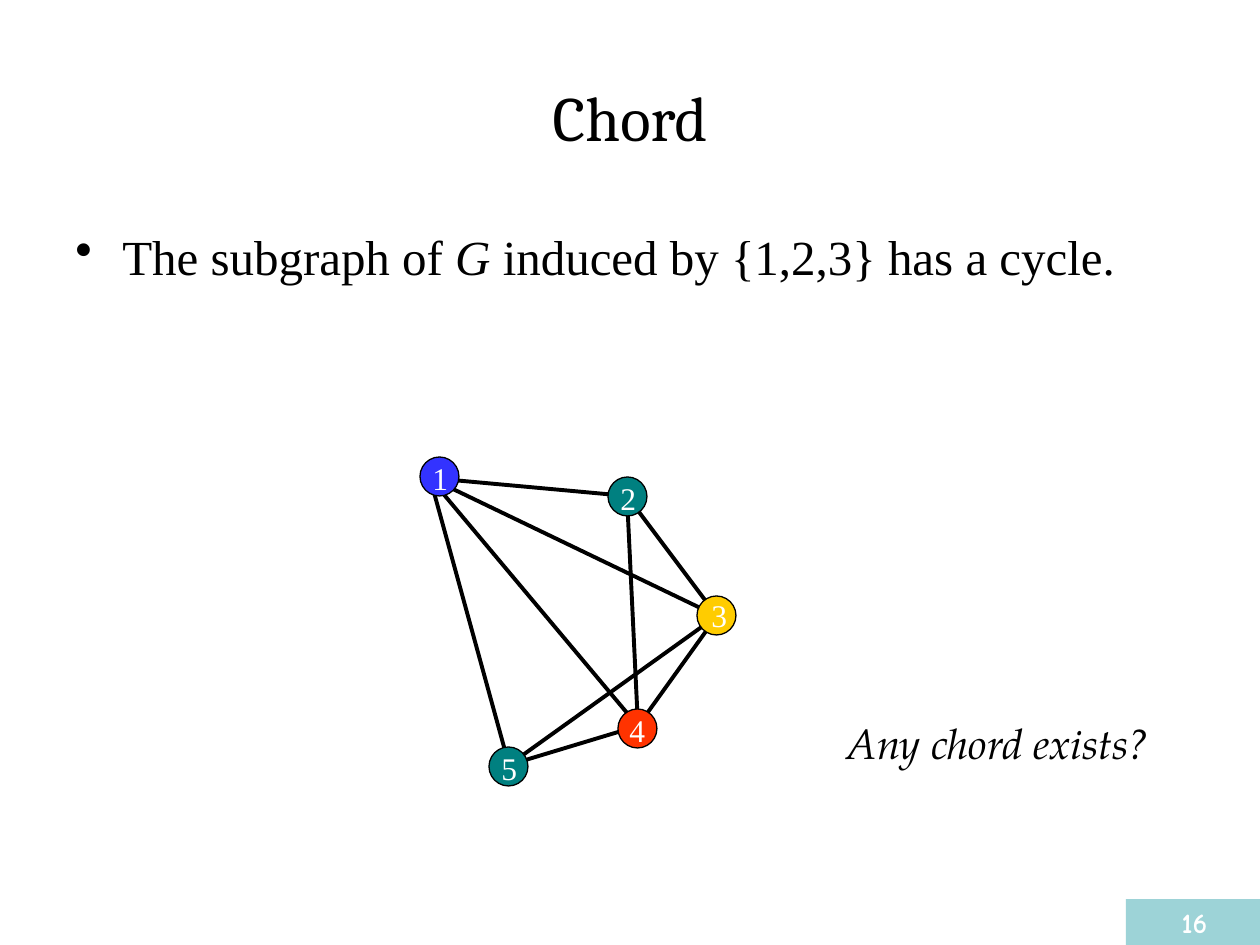
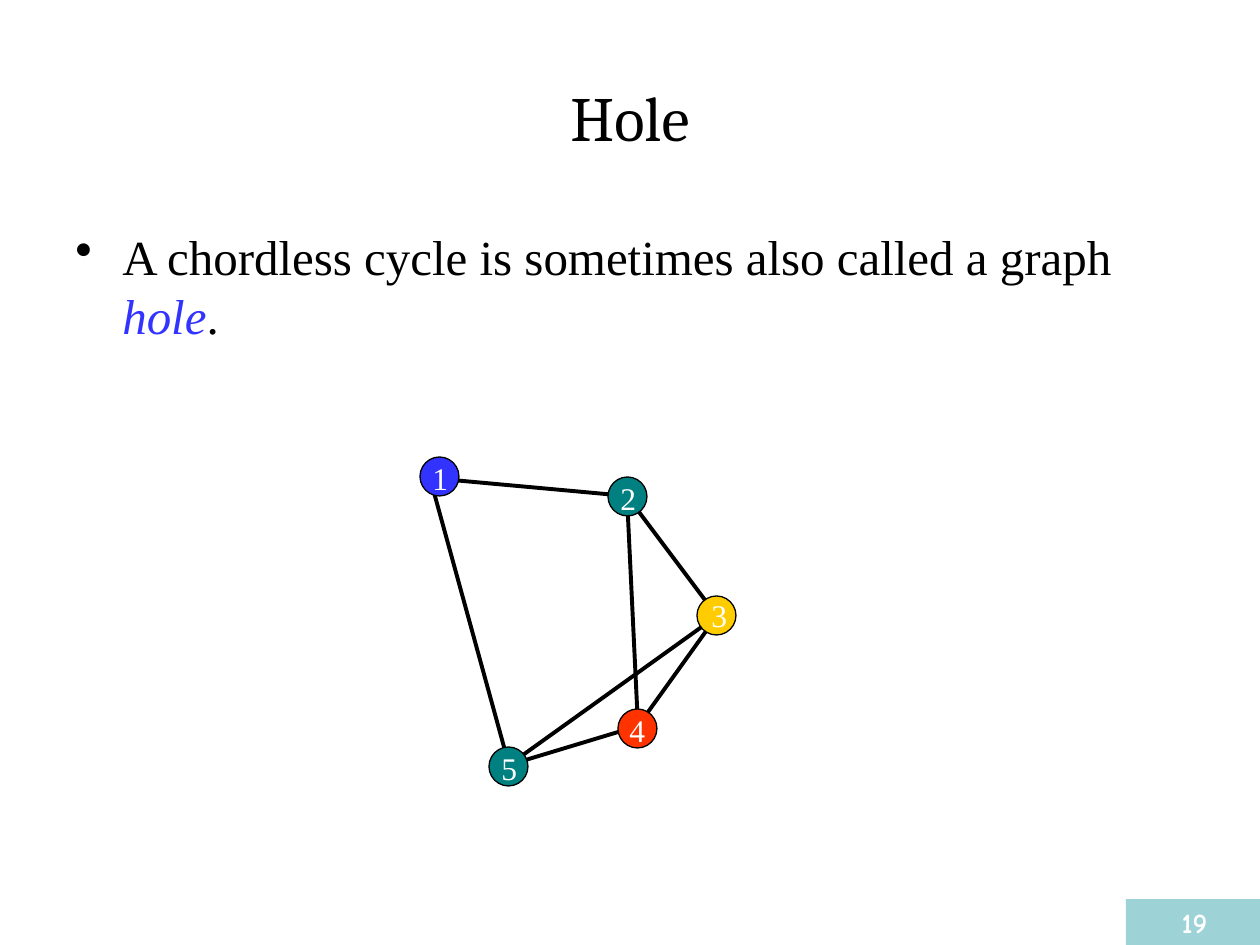
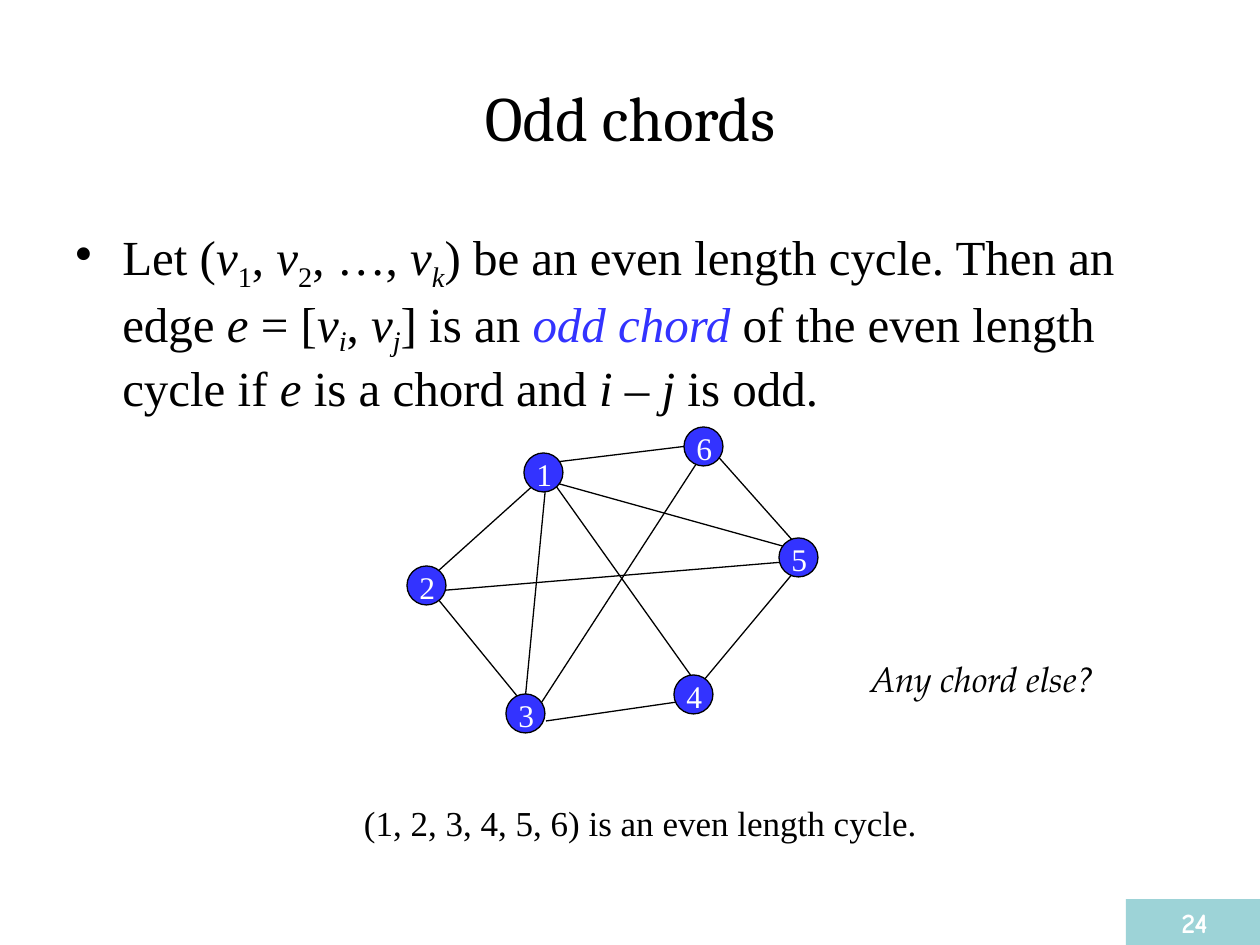
from lxml import etree
from pptx import Presentation
from pptx import util as u
from pptx.dml import color
from pptx.enum import shapes, text
from pptx.oxml import ns

PX_PER_INCH = 126
BLACK, WHITE, BLUE = "000000", "FFFFFF", "3333FF"
TEAL, RED, YELLOW, BAND = "008080", "FF3300", "FFCC00", "9DD3D7"
SERIF, HEADING, SCRIPT, NUMBER = "Times New Roman", "Cambria", "TeX Gyre Pagella", "Comic Neue"
LEFT, CENTER = text.PP_ALIGN.LEFT, text.PP_ALIGN.CENTER
NODE_SIZE = 39


def px(length):
    return u.Emu(round(length * 914400 / PX_PER_INCH))


def rgb(value):
    return color.RGBColor.from_string(value)


class GraphDeck:
    def __init__(self):
        self.deck = Presentation()
        self.deck.slide_width, self.deck.slide_height = px(1260), px(945)
        self.page = None

    def start_page(self, title, body, number):
        self.page = self.deck.slides.add_slide(self.deck.slide_layouts[6])
        heading = self.text((63, 38, 1134, 157), [(title, {})], 36, HEADING, align=CENTER)
        heading.text_frame.vertical_anchor = text.MSO_ANCHOR.MIDDLE
        self.bullet((63, 220, 1134, 624), body)
        band = self.shape(shapes.MSO_SHAPE.RECTANGLE, (1126, 899, 137, 46), BAND)
        band.text_frame.vertical_anchor = text.MSO_ANCHOR.TOP
        self.add_runs(band.text_frame, [(number, {"bold": True})], 16, NUMBER, WHITE, CENTER)

    def add_runs(self, frame, runs, size, font, ink, align):
        frame.word_wrap = True
        para = frame.paragraphs[0]
        para.alignment = align
        for words, style in runs:
            span = para.add_run()
            span.text = words
            span.font.size = u.Pt(size)
            span.font.name = font
            span.font.bold = style.get("bold", False)
            span.font.italic = style.get("italic", False)
            span.font.color.rgb = rgb(style.get("ink", ink))
            if "drop" in style:
                span._r.get_or_add_rPr().set("baseline", str(-1000 * style["drop"]))

    def text(self, area, runs, size, font=SERIF, ink=BLACK, align=LEFT):
        box = self.page.shapes.add_textbox(*map(px, area))
        self.add_runs(box.text_frame, runs, size, font, ink, align)
        return box

    def bullet(self, area, runs):
        box = self.text(area, runs, 28)
        properties = box.text_frame.paragraphs[0]._p.get_or_add_pPr()
        properties.set("marL", str(px(47)))
        properties.set("indent", str(px(-47)))
        etree.SubElement(properties, ns.qn("a:buChar")).set("char", "•")

    def shape(self, kind, area, fill, outline=None):
        shape = self.page.shapes.add_shape(kind, *map(px, area))
        shape.shadow.inherit = False
        shape.fill.solid()
        shape.fill.fore_color.rgb = rgb(fill)
        if outline:
            shape.line.color.rgb = rgb(outline)
            shape.line.width = u.Pt(0.75)
        else:
            shape.line.fill.background()
        return shape

    def edge(self, start, end, width):
        line = self.page.shapes.add_connector(
            shapes.MSO_CONNECTOR.STRAIGHT, *map(px, (*start, *end)))
        line.line.color.rgb = rgb(BLACK)
        line.line.width = u.Pt(width)
        etree.SubElement(line._element.spPr, ns.qn("a:effectLst"))

    def node(self, name, left, top, fill, label_width=NODE_SIZE, shift=(0, -4)):
        self.shape(shapes.MSO_SHAPE.OVAL, (left, top, NODE_SIZE, NODE_SIZE), fill, BLACK)
        area = (left + shift[0], top + shift[1], label_width, 50)
        self.text(area, [(name, {})], 18, ink=WHITE)


PLAIN, ITALIC = {}, {"italic": True}
TERM = {"italic": True, "ink": BLUE}
DIGIT_INDEX = {"drop": 25}
LETTER_INDEX = {"italic": True, "drop": 20}

HUBS = {1: (430, 478), 2: (627, 496), 3: (717, 616), 4: (638, 726), 5: (509, 765)}
FIVE_NODES = [
    ("5", 489, 747, TEAL, 49),
    ("4", 618, 709, RED, 49, (-1, -4)),
    ("2", 608, 477, TEAL, 49),
    ("3", 697, 596, YELLOW, 49, (2, -6)),
    ("1", 420, 457, BLUE),
]
HOLE_EDGES = [(5, 1), (5, 4), (1, 2), (2, 4), (5, 3), (4, 3), (2, 3)]
CHORD_EDGES = HOLE_EDGES + [(1, 3), (1, 4)]

SIX_NODES = [("1", 524, 453), ("2", 407, 566), ("3", 506, 694),
             ("4", 674, 675), ("5", 779, 538), ("6", 684, 427)]
SIX_EDGES = [
    ((704, 452), (536, 711)), ((546, 483), (525, 701)), ((546, 472), (694, 680)),
    ((436, 591), (784, 562)), ((556, 483), (804, 552)), ((536, 483), (427, 581)),
    ((433, 593), (522, 702)), ((546, 721), (684, 701)), ((704, 680), (794, 572)),
    ((714, 452), (794, 542)), ((556, 462), (688, 446)),
]


def draw_five_node_graph(deck, edges):
    for start, end in edges:
        deck.edge(HUBS[start], HUBS[end], 2.25)
    for node in FIVE_NODES:
        deck.node(*node)


def main():
    deck = GraphDeck()

    deck.start_page("Chord", [
        ("The subgraph of ", PLAIN), ("G", ITALIC),
        (" induced by {1,2,3} has a cycle.", PLAIN)], "16")
    draw_five_node_graph(deck, CHORD_EDGES)
    deck.text((819, 711, 358, 113), [("Any chord exists?", ITALIC)], 24, SCRIPT, align=CENTER)

    deck.start_page("Hole", [
        ("A chordless cycle is sometimes also called a graph ", PLAIN),
        ("hole", TERM), (".", PLAIN)], "19")
    draw_five_node_graph(deck, HOLE_EDGES)

    deck.start_page("Odd chords", [
        ("Let (", PLAIN), ("v", ITALIC), ("1", DIGIT_INDEX), (", ", PLAIN),
        ("v", ITALIC), ("2", DIGIT_INDEX), (", …, ", PLAIN),
        ("v", ITALIC), ("k", {"italic": True, "drop": 25}),
        (") be an even length cycle. Then an edge ", PLAIN), ("e", ITALIC),
        (" = [", PLAIN), ("v", ITALIC), ("i", LETTER_INDEX), (", ", PLAIN),
        ("v", ITALIC), ("j", LETTER_INDEX), ("] is an ", PLAIN), ("odd chord", TERM),
        (" of the even length cycle if ", PLAIN), ("e", ITALIC),
        (" is a chord and ", PLAIN), ("i", ITALIC), (" – ", PLAIN), ("j", ITALIC),
        (" is odd.", PLAIN)], "24")
    for start, end in SIX_EDGES:
        deck.edge(start, end, 0.75)
    for name, left, top in SIX_NODES:
        deck.node(name, left, top, BLUE)
    deck.text((333, 795, 615, 55),
              [("(1, 2, 3, 4, 5, 6) is an even length cycle.", PLAIN)], 20, align=CENTER)
    deck.text((858, 651, 258, 97), [("Any chord else?", ITALIC)], 20, SCRIPT)

    deck.deck.save("out.pptx")


if __name__ == "__main__":
    main()
